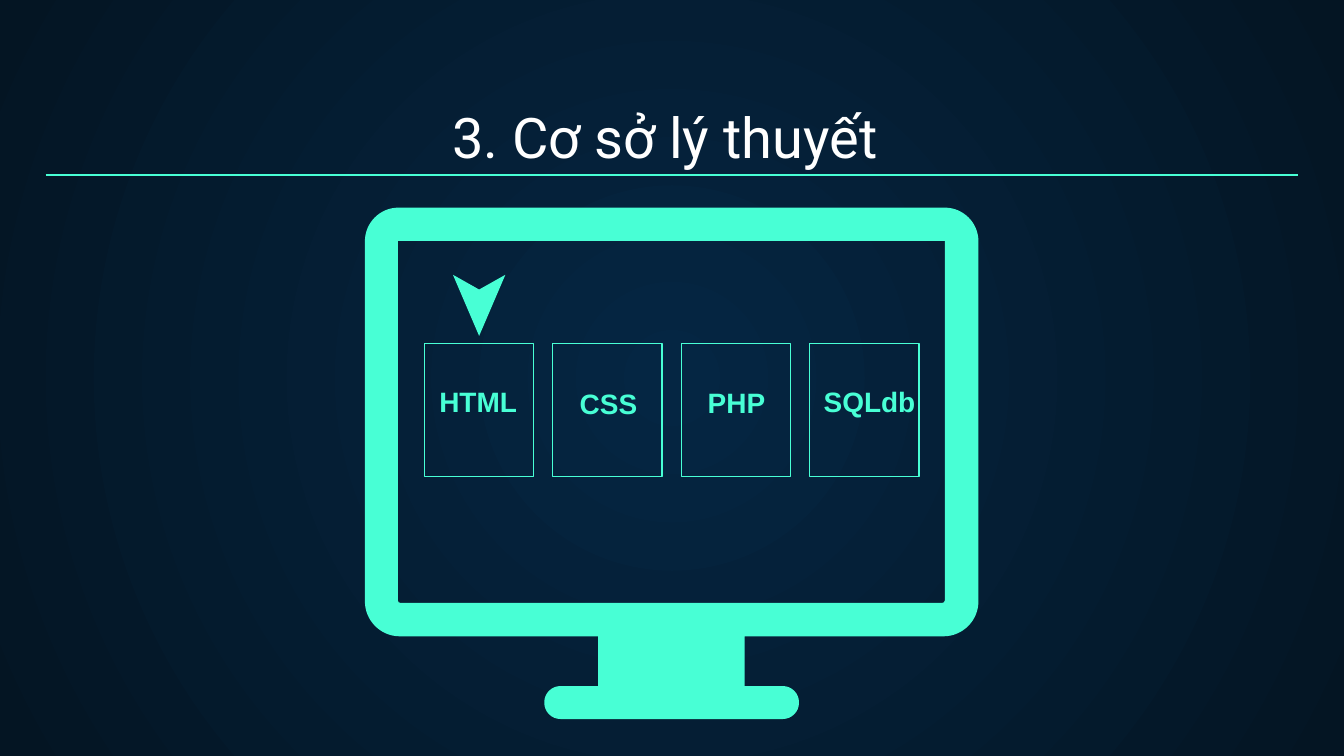
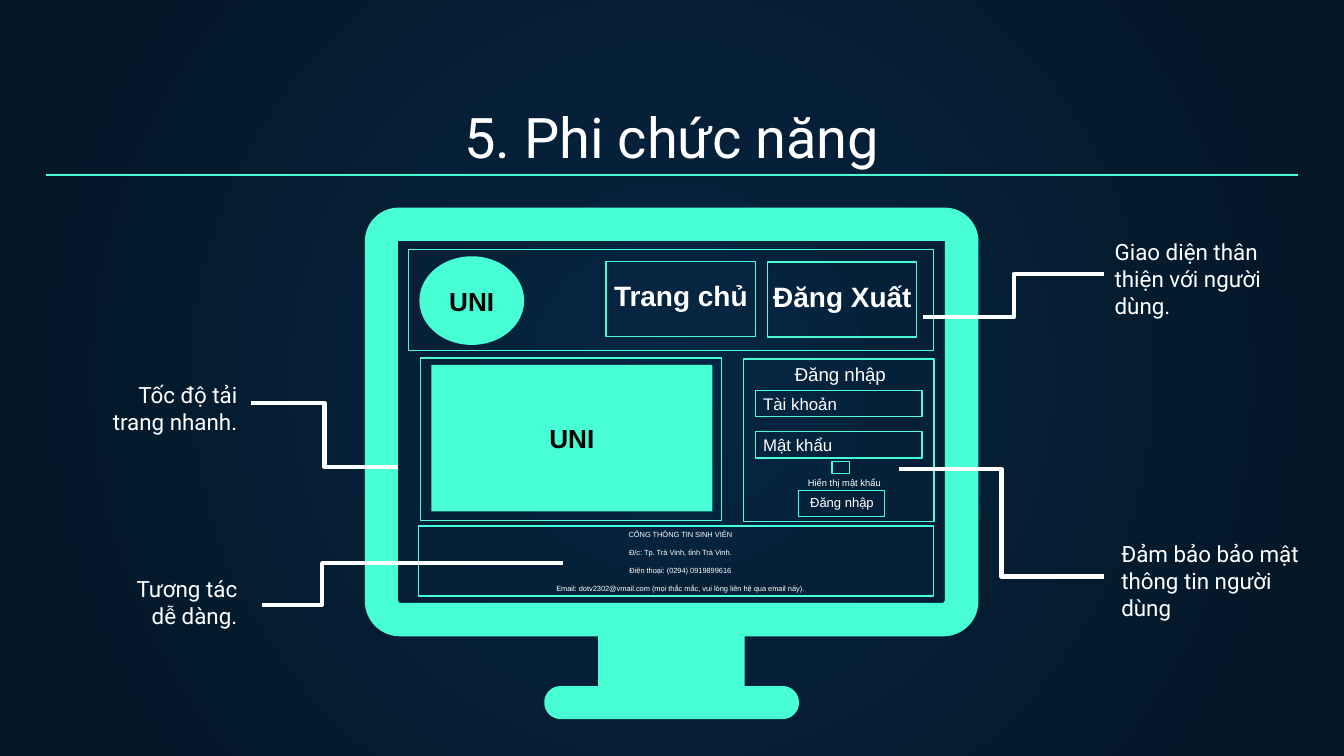
from lxml.etree import SubElement
from pptx import Presentation
from pptx.dml.color import RGBColor
from pptx.enum.shapes import MSO_CONNECTOR, MSO_SHAPE
from pptx.enum.text import MSO_ANCHOR, PP_ALIGN
from pptx.oxml.ns import qn
from pptx.util import Inches, Pt

COLORS = {name: RGBColor.from_string(code) for name, code in {
    "center": "052643", "edge": "041523", "mint": "48FFD5",
    "white": "FFFFFF", "black": "000000"}.items()}

# Grid: 100 columns by 56.25 rows
deck = Presentation()
deck.slide_width = Inches(10)
deck.slide_height = deck.slide_width * 9 // 16
COL = deck.slide_width / 100
ROW = deck.slide_height / 56.25


def write(slide, text, left, top, width, height, size=12, font="Arial", color="white",
          bold=False, align=PP_ALIGN.LEFT, anchor=MSO_ANCHOR.TOP, pad=0.05,
          wrap=True, gap=0, shape=None):
    """Write text, one paragraph a line, in a plain box or in a mint shape."""
    area = [round(v) for v in (left * COL, top * ROW, width * COL, height * ROW)]
    if shape is None:
        holder = slide.shapes.add_textbox(*area)
    else:
        holder = slide.shapes.add_shape(shape, *area)
        holder.shadow.inherit = False
        holder.fill.solid()
        holder.fill.fore_color.rgb = COLORS["mint"]
        holder.line.fill.background()
    frame = holder.text_frame
    frame.word_wrap = wrap
    frame.vertical_anchor = anchor
    frame.margin_top = frame.margin_bottom = Inches(pad)
    frame.text = text
    for number, paragraph in enumerate(frame.paragraphs):
        paragraph.alignment = align
        paragraph.space_before = Pt(gap if number else 0)
        style = paragraph.runs[0].font
        style.size, style.name, style.bold = Pt(size), font, bold
        style.color.rgb = COLORS[color]


def draw_outline(slide, contours):
    """Fill closed contours of (column, row, corner radius) with mint."""
    points, starts, curves = [], [], []
    for corners in contours:
        starts.append(len(points))
        for i, (x, y, radius) in enumerate(corners):
            if not radius:
                points.append((x * COL, y * ROW))
                continue
            # Entry, two handles and exit of the rounded corner
            curves.append(len(points) + 1)
            before, after = corners[i - 1], corners[(i + 1) % len(corners)]
            for (nx, ny, _), share in ((before, 1), (before, 0.45), (after, 0.45), (after, 1)):
                reach = radius * share / max(abs(nx - x), abs(ny - y))
                points.append(((x + reach * (nx - x)) * COL, (y + reach * (ny - y)) * ROW))
    builder = slide.shapes.build_freeform(*points[0])
    for start, end in zip(starts, starts[1:] + [len(points)]):
        if start:
            builder.move_to(*points[start])
        builder.add_line_segments(points[start + 1:end], close=True)
    outline = builder.convert_to_shape()
    outline.shadow.inherit = False
    outline.fill.solid()
    outline.fill.fore_color.rgb = COLORS["mint"]
    outline.line.fill.background()

    # Join the three steps of each rounded corner into one curve
    steps = list(outline.element.iter(qn("a:moveTo"), qn("a:lnTo")))
    for first in curves:
        handle, *others = steps[first:first + 3]
        handle.tag = qn("a:cubicBezTo")
        for other in others:
            handle.append(other[0])
            other.getparent().remove(other)


# Monitor: case with stand, then the screen opening
case = [(27.15, 15.45, 2.5), (72.8, 15.45, 2.5), (72.8, 47.35, 2.6),
        (55.4, 47.35, 0), (55.4, 51.05, 0),
        (59.45, 51.05, 1.2), (59.45, 53.5, 1.2), (40.5, 53.5, 1.2), (40.5, 51.05, 1.2),
        (44.5, 51.05, 0), (44.5, 47.35, 0), (27.15, 47.35, 2.6)]
opening = [(29.6, 17.92, 0), (29.6, 44.87, 0.2), (70.3, 44.87, 0.2), (70.3, 17.92, 0)]

# Framed areas: left, top, width, height
topic_frames = [(31.57 + 9.56 * i, 25.55, 8.14, 9.9) for i in range(4)]
page_frames = [
    (30.4, 18.55, 39.05, 7.55), (55.3, 26.7, 14.2, 12.1),    # header, login panel
    (31.3, 26.65, 22.4, 12.1), (31.15, 39.15, 38.3, 5.2),    # banner, footer
    (45.1, 19.45, 11.1, 5.57), (57.1, 19.5, 11.1, 5.57),     # navigation
    (56.2, 29.05, 12.4, 1.97), (56.2, 32.1, 12.4, 2),        # account, password
    (61.9, 34.35, 1.3, 0.87), (59.4, 36.5, 6.4, 1.95),       # check box, button
]

# Lines: start, end, colour, width, share of the way to the bend
title_rule = (3.4, 13.03, 96.6, 13.03, "mint", 0.75, None)
leaders = [(18.7, 30, 29.6, 34.75, "white", 2.25, 0.5),
           (19.5, 45, 41.9, 41.9, "white", 2.25, 0.2),
           (68.7, 23.6, 82.15, 20.4, "white", 2.25, 0.5),
           (66.9, 34.9, 82.15, 42.9, "white", 2.25, 0.5)]

# Parts that both slides share
slides = []
for title, frames, lines in [
        ("3. Cơ sở lý thuyết ", topic_frames, [title_rule]),
        ("5. Phi chức năng", page_frames, [title_rule, *leaders])]:
    slide = deck.slides.add_slide(deck.slide_layouts[6])
    slides.append(slide)

    # Radial background
    backdrop = slide.background.fill
    backdrop.gradient()
    for stop, name in zip(backdrop.gradient_stops, ("center", "edge")):
        stop.color.rgb = COLORS[name]
    gradient = next(slide.element.iter(qn("a:gradFill")))
    gradient.remove(gradient.find(qn("a:lin")))
    circle = SubElement(gradient, qn("a:path"), {"path": "circle"})
    SubElement(circle, qn("a:fillToRect"), {side: "50000" for side in "ltrb"})

    write(slide, title, 3.4, 7.07, 93.2, 6.6, size=30, font="Roboto",
          align=PP_ALIGN.CENTER, anchor=MSO_ANCHOR.BOTTOM, pad=0.1)
    draw_outline(slide, [case, opening])

    for left, top, width, height in frames:
        frame = slide.shapes.add_shape(
            MSO_SHAPE.RECTANGLE, round(left * COL), round(top * ROW),
            round(width * COL), round(height * ROW))
        frame.shadow.inherit = False
        frame.fill.background()
        frame.line.color.rgb = COLORS["mint"]
        frame.line.width = Pt(0.75)

    for x1, y1, x2, y2, color, weight, bend in lines:
        line = slide.shapes.add_connector(
            MSO_CONNECTOR.ELBOW if bend else MSO_CONNECTOR.STRAIGHT,
            round(x1 * COL), round(y1 * ROW), round(x2 * COL), round(y2 * ROW))
        line.line.color.rgb = COLORS[color]
        line.line.width = Pt(weight)
        properties = line.element.spPr
        SubElement(properties, qn("a:effectLst"))
        if bend:
            adjustments = properties.find(qn("a:prstGeom")).get_or_add_avLst()
            SubElement(adjustments, qn("a:gd"),
                       {"name": "adj1", "fmla": f"val {round(bend * 100000)}"})

theory, qualities = slides

# Slide 1: topics and the pointer above the first one
for topic, left, top in [("HTML", 31.7, 28.1), ("CSS", 42.15, 28.3),
                         ("PHP", 51.67, 28.2), ("SQLdb", 60.3, 28.1)]:
    write(theory, topic, left, top, 10.8, 3.5, size=15, color="mint", bold=True)
draw_outline(theory, [[(37.6, 20.45, 0), (35.65, 21.55, 0), (33.7, 20.45, 0), (35.65, 25, 0)]])

# Slide 2: callouts beside the monitor
for callout, left, top, width, height, align in [
        ("Giao diện thân thiện với người dùng.", 81.95, 16.7, 13.5, 9.1, PP_ALIGN.LEFT),
        ("Tốc độ tải trang nhanh.", 7.05, 27.35, 11.6, 2.1, PP_ALIGN.RIGHT),
        ("Đảm bảo bảo mật thông tin người dùng", 82.45, 39.2, 16.6, 6.1, PP_ALIGN.LEFT),
        ("Tương tác dễ dàng.", 7.05, 41.8, 11.6, 2.1, PP_ALIGN.RIGHT)]:
    write(qualities, callout, left, top, width, height, font="Roboto", align=align, pad=0.1)

# Emblem and banner
for shape, area in [(MSO_SHAPE.OVAL, (31.2, 19.07, 7.8, 6.6)),
                    (MSO_SHAPE.RECTANGLE, (32.1, 27.15, 20.9, 10.9))]:
    write(qualities, "UNI", *area, size=14, color="black", bold=True,
          align=PP_ALIGN.CENTER, anchor=MSO_ANCHOR.MIDDLE, shape=shape)

# Page labels
for label, left, top, width, height, size in [
        ("Trang chủ", 44.7, 20.2, 12.2, 3.5, 15), ("Đăng Xuất", 56.55, 20.3, 12.4, 3.5, 15),
        ("Đăng nhập", 58.15, 26.5, 8.8, 2.7, 10), ("Tài khoản", 55.8, 28.8, 8.3, 2.5, 9),
        ("Mật khẩu", 55.8, 31.85, 8.3, 2.5, 9), ("Đăng nhập", 59.3, 36.3, 10, 2.2, 7),
        ("Hiển thị mật khẩu", 59.13, 35, 10, 1.9, 5)]:
    write(qualities, label, left, top, width, height, size=size,
          bold=size == 15, wrap=size < 10)

# Page footer
write(qualities, "CỔNG THÔNG TIN SINH VIÊN\nĐ/c: Tp. Trà Vinh, tỉnh Trà Vinh.\n"
      "Điện thoại: (0294) 0919899616\n"
      "Email: dotv2302@vmail.com (mọi thắc mắc, vui lòng liên hệ qua email này).",
      40.13, 38.95, 21, 5.7, size=4, align=PP_ALIGN.CENTER, wrap=False, gap=4.8)

deck.save("out.pptx")
